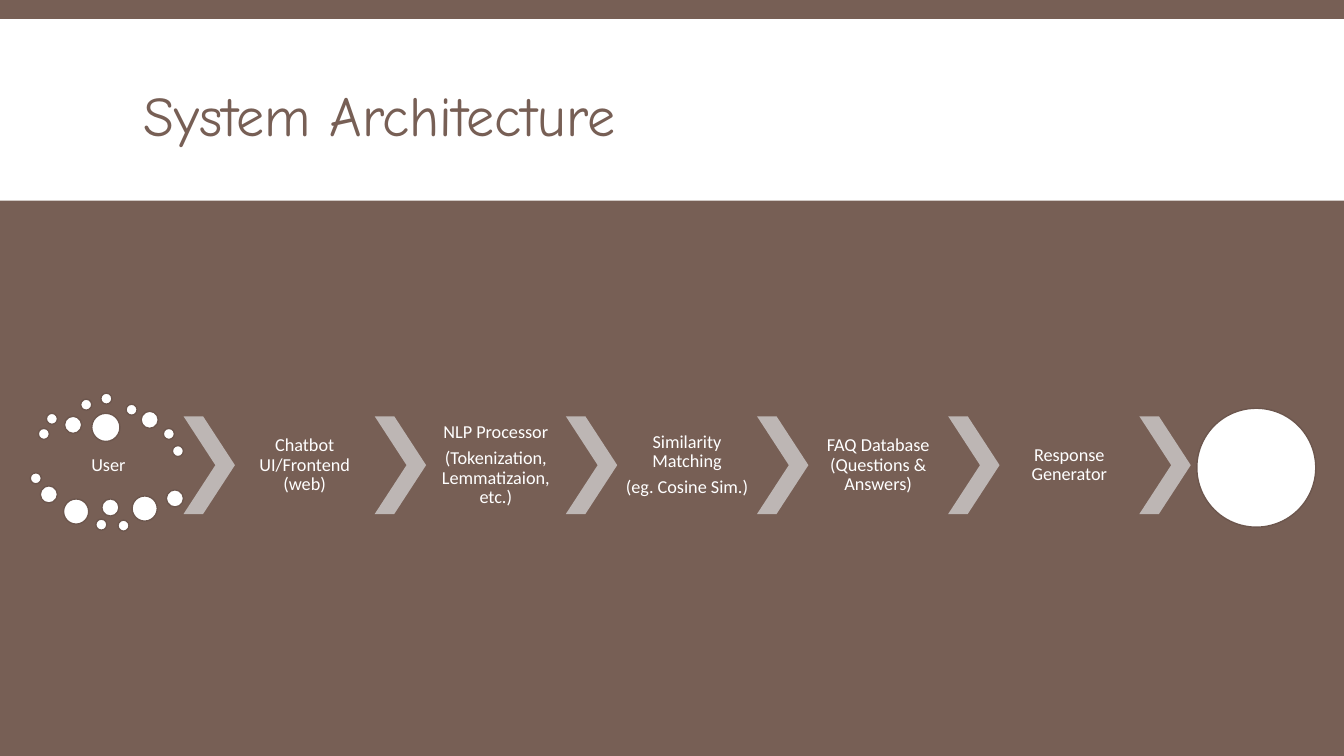
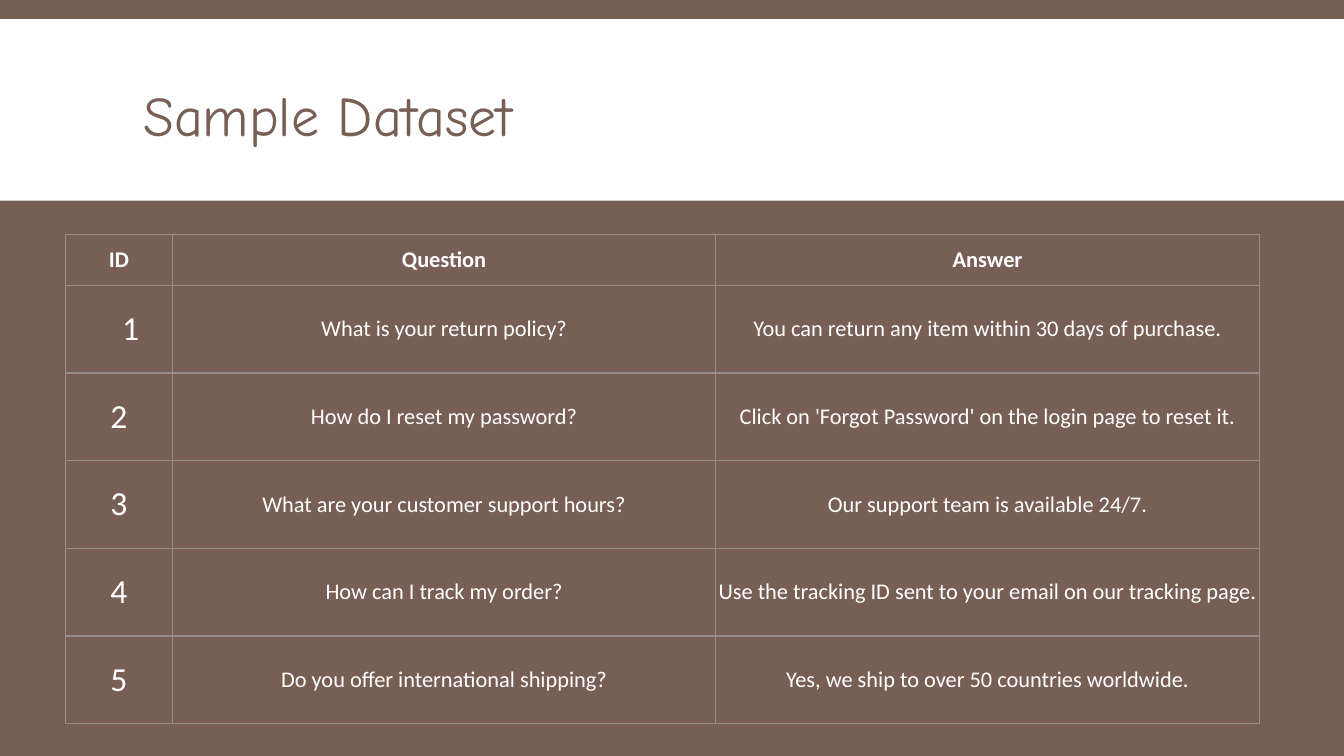
from lxml import etree
from pptx import Presentation
from pptx import util as u
from pptx.dml.color import RGBColor
from pptx.enum import shapes, text
from pptx.oxml import ns

BROWN = RGBColor(0x77, 0x5F, 0x55)
DARK_BROWN = RGBColor(0x6C, 0x56, 0x4D)
TAUPE = RGBColor(0xBD, 0xB6, 0xB4)
GRID_GREY = RGBColor(0x96, 0x8C, 0x8C)
WHITE = RGBColor(0xFF, 0xFF, 0xFF)


def write(frame, *lines, size, font="Calibri", color=WHITE, bold=False,
          align=text.PP_ALIGN.CENTER, spacing=None, after=None):
    """Fill a text frame with one formatted paragraph per line."""
    for number, line in enumerate(lines):
        paragraph = frame.add_paragraph() if number else frame.paragraphs[0]
        paragraph.alignment = align
        paragraph.line_spacing = spacing
        paragraph.space_after = after
        run = paragraph.add_run()
        run.text = line
        run.font.size, run.font.name, run.font.bold = u.Pt(size), font, bold
        run.font.color.rgb = color


def draw(slide, kind, left, top, width, height, fill, line=None):
    """Add a flat preset shape, measured in inches."""
    shape = slide.shapes.add_shape(kind, *map(u.Inches, (left, top, width, height)))
    shape.shadow.inherit = False
    shape.fill.solid()
    shape.fill.fore_color.rgb = fill
    if line is None:
        shape.line.fill.background()
    else:
        shape.line.color.rgb = line
        shape.line.width = u.Pt(1)
    return shape


deck = Presentation()
deck.slide_width, deck.slide_height = u.Inches(13.33), u.Inches(7.5)

# Shared layout: brown ground and title place
layout = deck.slide_layouts.get_by_name("Title Only")
layout.background.fill.solid()
layout.background.fill.fore_color.rgb = BROWN
heading = layout.placeholders[0]
heading.left, heading.top = u.Inches(1.32), u.Inches(0.31)
heading.width, heading.height = u.Inches(10.7), u.Inches(1.65)
heading.text_frame.vertical_anchor = text.MSO_ANCHOR.MIDDLE

# Slides with their titles
architecture, dataset = (deck.slides.add_slide(layout) for _ in range(2))
for slide, title in ((architecture, "System Architecture"), (dataset, "Sample Dataset")):
    write(slide.shapes.title.text_frame, title, size=40, font="Comic Neue",
          color=BROWN, align=text.PP_ALIGN.LEFT)

# White title band, moved into the layout behind the title
band = draw(architecture, shapes.MSO_SHAPE.RECTANGLE, 0, 0.19, 13.33, 1.8, WHITE)
heading._element.addprevious(band._element)

# Ring of dots around the user: diameter -> left and top of each dot
DOTS = {
    0.11: [(0.38, 4.25), (0.46, 4.1), (0.8, 3.96), (1, 3.9), (1.25, 4.01), (1.62, 4.25),
           (1.71, 4.42), (0.3, 4.69), (0.95, 5.15), (1.17, 5.16)],
    0.17: [(0.64, 4.13), (1.4, 4.08), (0.4, 4.82), (1.01, 4.95), (1.65, 4.86)],
    0.25: [(0.63, 4.95), (1.31, 4.92)],
    0.28: [(0.91, 4.1)],
    1.18: [(11.87, 4.05)],  # end of the flow
}
for diameter, places in DOTS.items():
    for left, top in places:
        draw(architecture, shapes.MSO_SHAPE.OVAL, left, top, diameter, diameter,
             WHITE, DARK_BROWN)

# Flow: each step's label is followed by a chevron
STEPS = [
    ["User"],
    ["Chatbot UI/Frontend (web)"],
    ["NLP Processor", "(Tokenization, Lemmatizaion, etc.)"],
    ["Similarity Matching", "(eg. Cosine Sim.)"],
    ["FAQ Database (Questions & Answers)"],
    ["Response Generator"],
]
FLOW_TOP, FLOW_HEIGHT = 4.13, 0.97
LABEL_WIDTH, CHEVRON_WIDTH = 1.39, 0.51
FIRST_CHEVRON, LAST_CHEVRON = 1.82, 11.3
pitch = (LAST_CHEVRON - FIRST_CHEVRON) / (len(STEPS) - 1)
for column, lines in enumerate(STEPS):
    chevron_left = FIRST_CHEVRON + column * pitch
    chevron = draw(architecture, shapes.MSO_SHAPE.CHEVRON, chevron_left, FLOW_TOP,
                   CHEVRON_WIDTH, FLOW_HEIGHT, TAUPE)
    chevron.adjustments[0] = 0.62
    label_left = chevron_left - LABEL_WIDTH if column else 0.38
    label = architecture.shapes.add_textbox(*map(
        u.Inches, (label_left, FLOW_TOP, LABEL_WIDTH, FLOW_HEIGHT))).text_frame
    label.word_wrap = True
    label.vertical_anchor = text.MSO_ANCHOR.MIDDLE
    label.margin_left = label.margin_right = u.Inches(0.02)
    label.margin_top = label.margin_bottom = u.Inches(0.02)
    write(label, *lines, size=13, spacing=0.9, after=u.Pt(4.5))

# Table of questions and answers
FAQ = [
    ("ID", "Question", "Answer"),
    ("1", "What is your return policy?",
     "You can return any item within 30 days of purchase."),
    ("2", "How do I reset my password?",
     "Click on 'Forgot Password' on the login page to reset it."),
    ("3", "What are your customer support hours?",
     "Our support team is available 24/7."),
    ("4", "How can I track my order?",
     "Use the tracking ID sent to your email on our tracking page."),
    ("5", "Do you offer international shipping?",
     "Yes, we ship to over 50 countries worldwide."),
]
COLUMN_WIDTHS = (1.06, 5.39, 5.39)
ROW_HEIGHTS = [0.5] + [0.87] * (len(FAQ) - 1)
faq = dataset.shapes.add_table(
    len(FAQ), len(COLUMN_WIDTHS), u.Inches(0.65), u.Inches(2.33),
    u.Inches(sum(COLUMN_WIDTHS)), u.Inches(sum(ROW_HEIGHTS))).table
for column, width in zip(faq.columns, COLUMN_WIDTHS):
    column.width = u.Inches(width)
for row, height in zip(faq.rows, ROW_HEIGHTS):
    row.height = u.Inches(height)

for r, entries in enumerate(FAQ):
    for c, entry in enumerate(entries):
        cell = faq.cell(r, c)
        cell.vertical_anchor = text.MSO_ANCHOR.MIDDLE
        cell.margin_left = cell.margin_right = u.Inches(0.01)
        cell.margin_top = cell.margin_bottom = u.Inches(0.01)
        write(cell.text_frame, entry, size=24 if r and c == 0 else 16, bold=r == 0)
        # Borders come before the fill in the cell's properties
        properties = cell._tc.get_or_add_tcPr()
        for side in ("a:lnL", "a:lnR", "a:lnT", "a:lnB"):
            border = etree.SubElement(properties, ns.qn(side), w=str(u.Pt(1)))
            paint = etree.SubElement(border, ns.qn("a:solidFill"))
            etree.SubElement(paint, ns.qn("a:srgbClr"), val=str(GRID_GREY))
        cell.fill.solid()
        cell.fill.fore_color.rgb = BROWN
faq.cell(1, 0).margin_left = u.Inches(0.24)  # the first ID sits to the right

deck.save("out.pptx")
